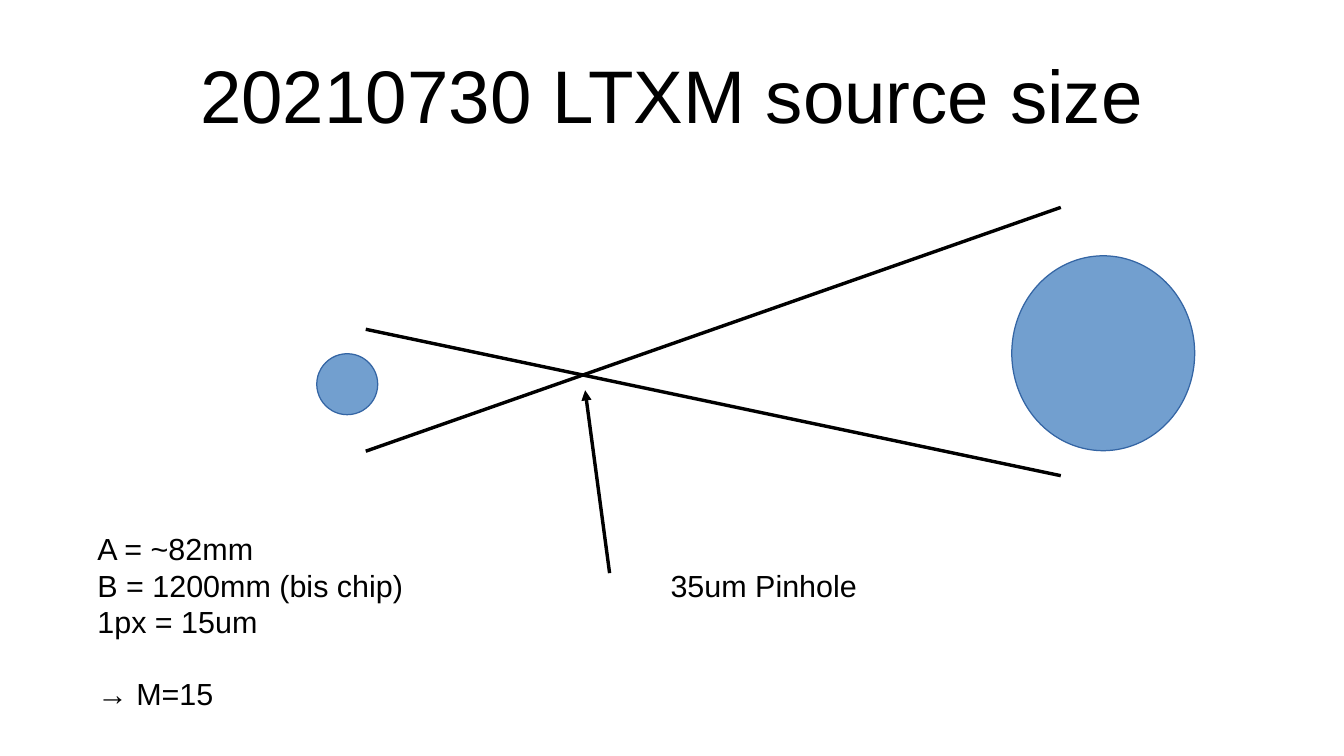
import dataclasses

import pptx
import pptx.dml.color
import pptx.enum.shapes
import pptx.enum.text
import pptx.oxml
import pptx.oxml.ns
import pptx.util

Cm, Pt = pptx.util.Cm, pptx.util.Pt
Color = pptx.dml.color.RGBColor.from_string
Align = pptx.enum.text.PP_ALIGN
Fit = pptx.enum.text.MSO_AUTO_SIZE


@dataclasses.dataclass
class Theme:
    font: str = "Arial"
    ink: str = "000000"
    disc: str = "729FCF"
    edge: str = "3465A4"
    head: int = 44
    body: int = 18
    gap: int = 21
    hair: int = 0


class Sketch:
    def __init__(self, slide, theme):
        self.slide, self.theme = slide, theme

    def style(self, frame, size):
        for para in frame.paragraphs:
            for run in para.runs:
                run.font.name = self.theme.font
                run.font.size = Pt(size)
                run.font.color.rgb = Color(self.theme.ink)

    def stroke(self, line, color):
        line.color.rgb = Color(color)
        line.width = Pt(self.theme.hair)

    def title(self, text, x, y, w, h):
        box = self.slide.shapes.title
        box.left, box.top, box.width, box.height = map(Cm, (x, y, w, h))
        frame = box.text_frame
        frame.text = text
        frame.margin_left = frame.margin_right = 0
        frame.margin_top = frame.margin_bottom = 0
        frame.vertical_anchor = pptx.enum.text.MSO_ANCHOR.MIDDLE
        frame.paragraphs[0].alignment = Align.CENTER
        self.style(frame, self.theme.head)

    def text(self, text, x, y, w, h, wrap=True):
        box = self.slide.shapes.add_textbox(*map(Cm, (x, y, w, h)))
        frame = box.text_frame
        frame.text = text
        frame.word_wrap = wrap
        frame.auto_size = Fit.SHAPE_TO_FIT_TEXT
        self.style(frame, self.theme.body)
        return frame

    def line(self, x1, y1, x2, y2, arrow=False):
        kind = pptx.enum.shapes.MSO_CONNECTOR.STRAIGHT
        ray = self.slide.shapes.add_connector(kind, *map(Cm, (x1, y1, x2, y2)))
        self.stroke(ray.line, self.theme.ink)
        props = ray._element.spPr
        if arrow:
            tip = pptx.oxml.parse_xml(
                f'<a:tailEnd {pptx.oxml.ns.nsdecls("a")} type="triangle"/>')
            ray.line._get_or_add_ln().append(tip)
        props.append(pptx.oxml.parse_xml(
            f'<a:effectLst {pptx.oxml.ns.nsdecls("a")}/>'))

    def disc(self, x, y, w, h):
        kind = pptx.enum.shapes.MSO_SHAPE.OVAL
        spot = self.slide.shapes.add_shape(kind, *map(Cm, (x, y, w, h)))
        spot.shadow.inherit = False
        spot.fill.solid()
        spot.fill.fore_color.rgb = Color(self.theme.disc)
        self.stroke(spot.line, self.theme.edge)


def main():
    deck = pptx.Presentation()
    deck.slide_width, deck.slide_height = Cm(28), Cm(15.75)
    theme = Theme()
    page = Sketch(deck.slides.add_slide(deck.slide_layouts[5]), theme)

    page.title("20210730 LTXM source size", 1.4, 0.63, 25.2, 2.63)

    # Rays crossing at the pinhole
    left, right = 7.62, 22.1
    page.line(left, 6.86, right, 9.91)
    page.line(left, 9.4, right, 4.32)

    # Pinhole pointer and label
    page.line(12.7, 11.94, 12.19, 8.13, arrow=True)
    page.text("35um Pinhole", 13.72, 11.68, 4.4, 0.97, wrap=False)

    # Source and its image
    page.disc(6.6, 7.37, 1.27, 1.27)
    page.disc(21.08, 5.33, 3.81, 4.06)

    # Distances and magnification
    notes = page.text("A = ~82mm\nB = 1200mm (bis chip)\n1px = 15um\n→ M=15",
                      1.78, 10.92, 10.67, 3.81)
    notes.paragraphs[-1].space_before = Pt(theme.gap)

    deck.save("out.pptx")


if __name__ == "__main__":
    main()
